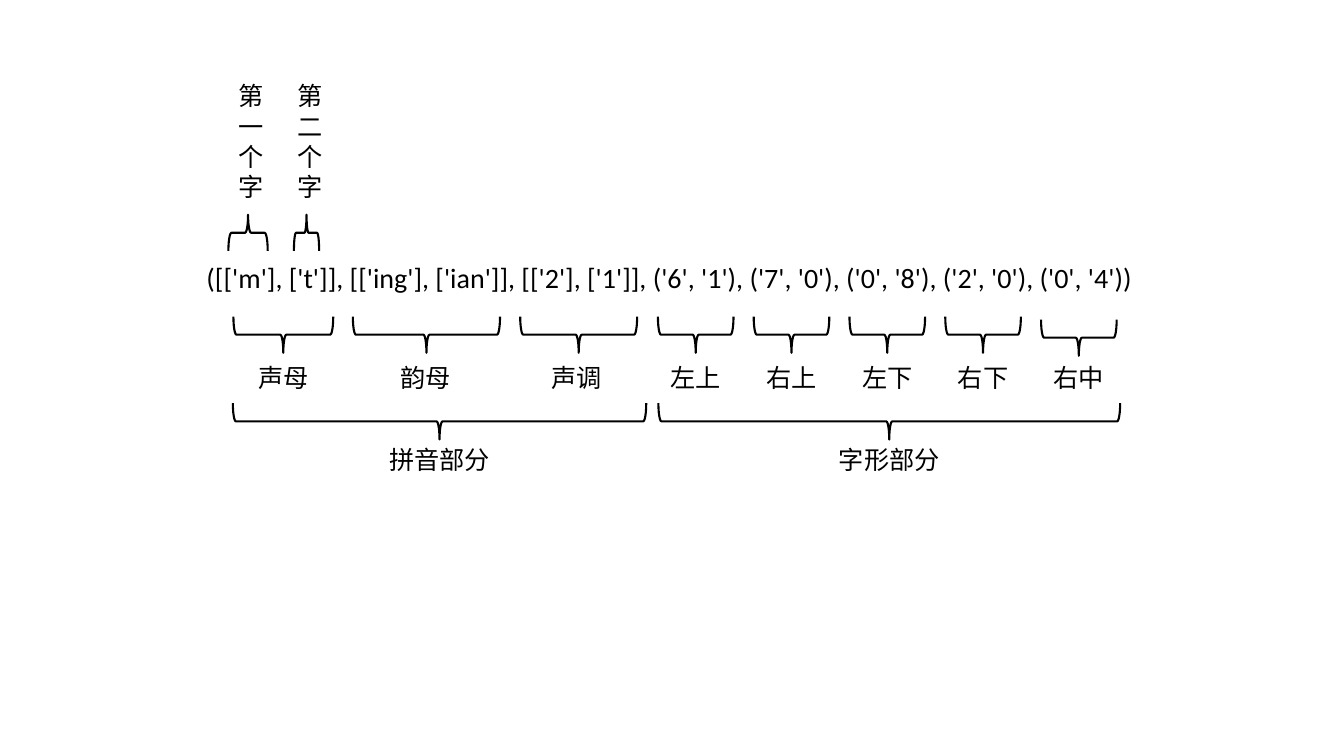
from pptx import Presentation
from pptx.dml.color import RGBColor
from pptx.enum.shapes import MSO_SHAPE
from pptx.enum.text import MSO_AUTO_SIZE, PP_ALIGN
from pptx.util import Inches, Pt

# Content: label, centre of its brace, centre of its text, span of its brace
CODE = ("([['m'], ['t']], [['ing'], ['ian']], [['2'], ['1']], "
        "('6', '1'), ('7', '0'), ('0', '8'), ('2', '0'), ('0', '4'))")
CHARACTERS = [("第一个字", 2.46, 2.46, 0.39), ("第二个字", 3.04, 3.05, 0.25)]
SOUNDS = [("声母", 2.81, 2.81, 0.99), ("韵母", 4.23, 4.22, 1.46),
          ("声调", 5.74, 5.72, 1.16)]
CORNERS = ["左上", "右上", "左下", "右下", "右中"]
SECTIONS = [("拼音部分", 4.36, 4.36, 4.1), ("字形部分", 8.82, 8.82, 4.58)]

THEME = {"ink": RGBColor(0, 0, 0), "font": "Calibri",
         "code": 20, "label": 18, "line": 1.5}

# Grid, in inches
FIRST_CORNER, CORNER_PITCH, CORNER_SPAN = 6.9, 0.95, 0.75
BRACE_DEPTH = 0.36
LAST_DROP = 0.03
CHARACTER_BRACE_Y, PART_BRACE_Y, SECTION_BRACE_Y = 2.31, 3.32, 4.18
CHARACTER_Y, CODE_Y, PART_Y, SECTION_Y = 0.75, 2.54, 3.55, 4.36

deck = Presentation()
deck.slide_width, deck.slide_height = Inches(13.33), Inches(7.5)
slide = deck.slides.add_slide(deck.slide_layouts[6])


def write(words, center, top, width, height, size, align=PP_ALIGN.CENTER):
    frame = slide.shapes.add_textbox(Inches(center - width / 2), Inches(top),
                                     Inches(width), Inches(height)).text_frame
    frame.word_wrap = True
    frame.auto_size = MSO_AUTO_SIZE.SHAPE_TO_FIT_TEXT
    paragraph = frame.paragraphs[0]
    paragraph.alignment = align
    run = paragraph.add_run()
    run.text = words
    run.font.name, run.font.size = THEME["font"], Pt(size)
    run.font.color.rgb = THEME["ink"]


def brace(center, middle, span, rotation=270):
    mark = slide.shapes.add_shape(
        MSO_SHAPE.LEFT_BRACE, Inches(center - BRACE_DEPTH / 2),
        Inches(middle - span / 2), Inches(BRACE_DEPTH), Inches(span))
    mark.rotation = rotation
    mark.shadow.inherit = False
    mark.fill.background()
    mark.line.color.rgb = THEME["ink"]
    mark.line.width = Pt(THEME["line"])


# The encoded word
write(CODE, 6.67, CODE_Y, 9.44, 0.44, THEME["code"], PP_ALIGN.LEFT)

# Characters above: the narrow box stacks the text one character per line
for label, center, text_center, span in CHARACTERS:
    brace(center, CHARACTER_BRACE_Y, span, rotation=90)
    write(label, text_center, CHARACTER_Y, 0.39, 1.31, THEME["label"],
          PP_ALIGN.LEFT)

# Parts below: sounds, then evenly spaced corners
corners = [(label, FIRST_CORNER + i * CORNER_PITCH,
            FIRST_CORNER + i * CORNER_PITCH, CORNER_SPAN)
           for i, label in enumerate(CORNERS)]
for label, center, text_center, span in SOUNDS + corners:
    drop = LAST_DROP if label == CORNERS[-1] else 0
    brace(center, PART_BRACE_Y + drop, span)
    write(label, text_center, PART_Y, 0.83, 0.4, THEME["label"])

# Sections that group the parts
for label, center, text_center, span in SECTIONS:
    brace(center, SECTION_BRACE_Y, span)
    write(label, text_center, SECTION_Y, 1.36, 0.4, THEME["label"])

deck.save("out.pptx")
